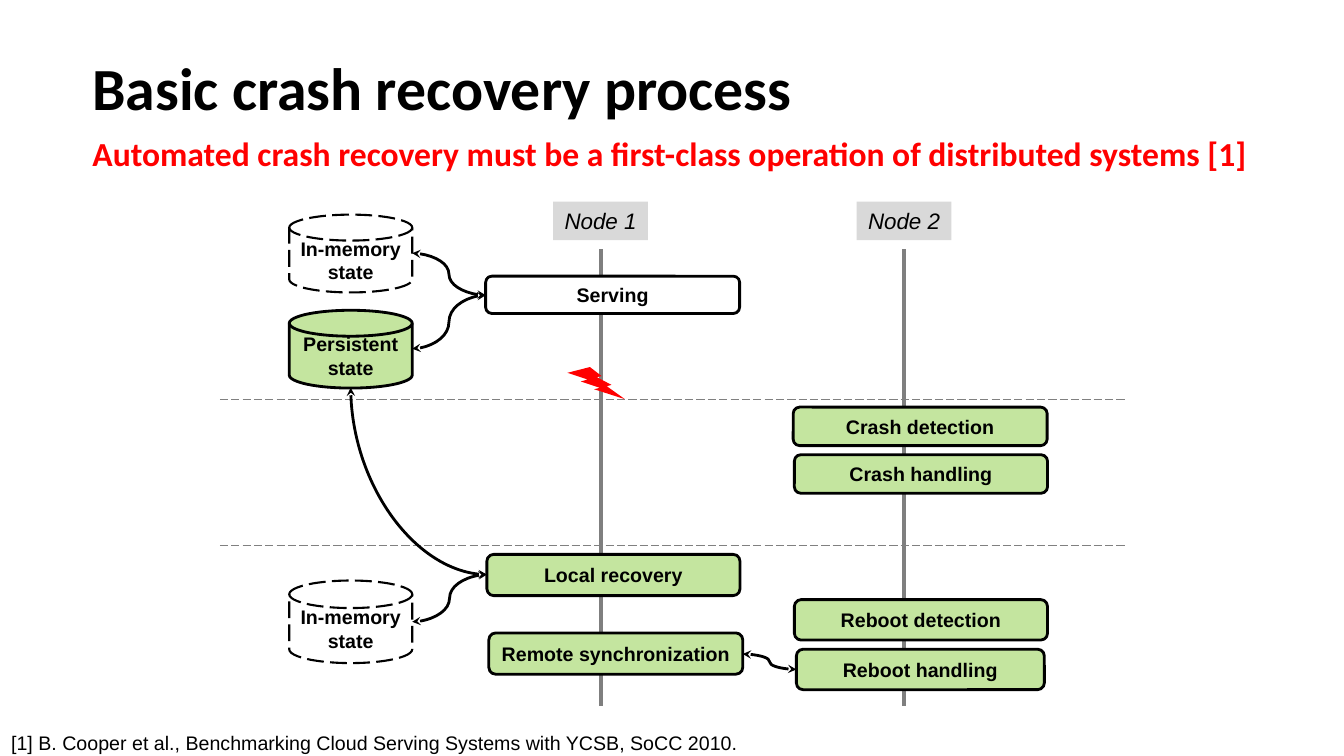
from pptx import Presentation
from pptx.dml.color import RGBColor
from pptx.enum.dml import MSO_LINE as Dash
from pptx.enum.shapes import MSO_CONNECTOR as Conn, MSO_SHAPE as Shp
from pptx.enum.text import MSO_ANCHOR as Anchor, PP_ALIGN as Align
from pptx.oxml.ns import qn
from pptx.util import Cm, Pt
from lxml import etree

GREEN, WHITE, BLACK, RED = "C4E59F", "FFFFFF", "000000", "FF0000"
DISK, BOX = Shp.FLOWCHART_MAGNETIC_DISK, Shp.ROUNDED_RECTANGLE

prs = Presentation()
prs.slide_width, prs.slide_height = Cm(33.87), Cm(19.05)
s = prs.slides.add_slide(prs.slide_layouts[6])


def rgb(color):
    return RGBColor.from_string(color)


def write(tf, text, color=BLACK, align=Align.CENTER, **font):
    tf.word_wrap = True
    tf.text = text
    for p in tf.paragraphs:
        p.alignment = align
        for r in p.runs:
            r.font.color.rgb = rgb(color)
            for name, value in font.items():
                setattr(r.font, name, value)


# Title, subtitle and reference
for x, y, w, h, text, color, anchor, spacing, font in [
    (2.08, 0.86, 30.07, 2.36, "Basic crash recovery process", BLACK, Anchor.BOTTOM, Pt(46.7),
     {"name": "Calibri", "size": Pt(42.7), "bold": True}),
    (2.08, 3.23, 30.07, 1.37,
     "Automated crash recovery must be a first-class operation of distributed systems [1]",
     RED, Anchor.TOP, 1.0, {"name": "Calibri", "size": Pt(24), "bold": True}),
    (0.03, 18.14, 22.58, 0.94,
     "[1] B. Cooper et al., Benchmarking Cloud Serving Systems with YCSB, SoCC 2010.",
     BLACK, Anchor.TOP, 1.25, {"name": "Arial", "size": Pt(14)}),
]:
    tf = s.shapes.add_textbox(Cm(x), Cm(y), Cm(w), Cm(h)).text_frame
    write(tf, text, color, Align.LEFT, **font)
    tf.vertical_anchor = anchor
    tf.paragraphs[0].line_spacing = spacing

# Node lifelines, phase separators and links
STRAIGHT, CURVE = Conn.STRAIGHT, Conn.CURVE
for kind, x1, y1, x2, y2, color, width in [
    (STRAIGHT, 15.14, 6.28, 15.14, 17.78, "7F7F7F", 3),
    (STRAIGHT, 22.78, 6.28, 22.78, 17.78, "7F7F7F", 3),
    (STRAIGHT, 5.54, 10.06, 28.37, 10.06, "808080", 0.75),
    (STRAIGHT, 5.54, 13.74, 28.37, 13.74, "808080", 0.75),
    (CURVE, 10.39, 6.38, 12.24, 7.44, BLACK, 2),
    (CURVE, 10.39, 8.79, 12.24, 7.44, BLACK, 2),
    (CURVE, 12.27, 14.48, 8.84, 9.77, BLACK, 2),
    (CURVE, 10.39, 15.67, 12.27, 14.48, BLACK, 2),
    (CURVE, 18.72, 16.48, 20.07, 16.87, BLACK, 2),
]:
    c = s.shapes.add_connector(kind, Cm(x1), Cm(y1), Cm(x2), Cm(y2))
    c.line.color.rgb = rgb(color)
    c.line.width = Pt(width)
    if width < 1:
        c.line.dash_style = Dash.LONG_DASH
    spPr = c._element.spPr
    if kind == CURVE:
        ln = c.line._get_or_add_ln()
        for end in ("a:headEnd", "a:tailEnd"):
            etree.SubElement(ln, qn(end)).set("type", "stealth")
        if x1 > x2:  # quarter bend from recovery up to the persistent state
            spPr.find(qn("a:prstGeom")).set("prst", "curvedConnector2")
    etree.SubElement(spPr, qn("a:effectLst"))

# Node labels, states, steps and the crash
label = {"name": "Arial", "size": Pt(16), "italic": True}
step = {"name": "Arial", "size": Pt(14), "bold": True}
for kind, x, y, w, h, text, fill, line, font in [
    (Shp.RECTANGLE, 13.94, 5.08, 2.39, 0.97, "Node 1", "D9D9D9", 0, label),
    (Shp.RECTANGLE, 21.59, 5.08, 2.39, 0.97, "Node 2", "D9D9D9", 0, label),
    (Shp.LIGHTNING_BOLT, 14.3, 9.25, 1.45, 0.81, "", RED, 0, step),
    (DISK, 7.29, 5.41, 3.1, 1.96, "In-memory state", None, 1.5, step),
    (DISK, 7.29, 7.82, 3.1, 1.96, "Persistent\nstate", GREEN, 2, step),
    (DISK, 7.29, 14.63, 3.1, 2.08, "In-memory state", None, 1.5, step),
    (BOX, 12.24, 6.96, 6.4, 0.94, "Serving", WHITE, 2, step),
    (BOX, 12.27, 13.97, 6.38, 1.04, "Local recovery", GREEN, 2, step),
    (BOX, 12.32, 15.95, 6.4, 1.04, "Remote synchronization", GREEN, 2, step),
    (BOX, 19.99, 10.26, 6.4, 0.97, "Crash detection", GREEN, 2, step),
    (BOX, 20.02, 11.46, 6.38, 0.97, "Crash handling", GREEN, 2, step),
    (BOX, 20.02, 15.11, 6.38, 1.02, "Reboot detection", GREEN, 2, step),
    (BOX, 20.07, 16.36, 6.25, 1.02, "Reboot handling", GREEN, 2, step),
]:
    sp = s.shapes.add_shape(kind, Cm(x), Cm(y), Cm(w), Cm(h))
    sp.shadow.inherit = False
    if fill:
        sp.fill.solid()
        sp.fill.fore_color.rgb = rgb(fill)
    else:
        sp.fill.background()
    if line:
        sp.line.color.rgb = rgb(BLACK)
        sp.line.width = Pt(line)
        if not fill:
            sp.line.dash_style = Dash.LONG_DASH
    else:
        sp.line.fill.background()
    if text:
        tf = sp.text_frame
        write(tf, text, **font)
        tf.vertical_anchor = Anchor.MIDDLE
        tf.margin_left = tf.margin_right = Cm(0.1)

prs.save("out.pptx")
